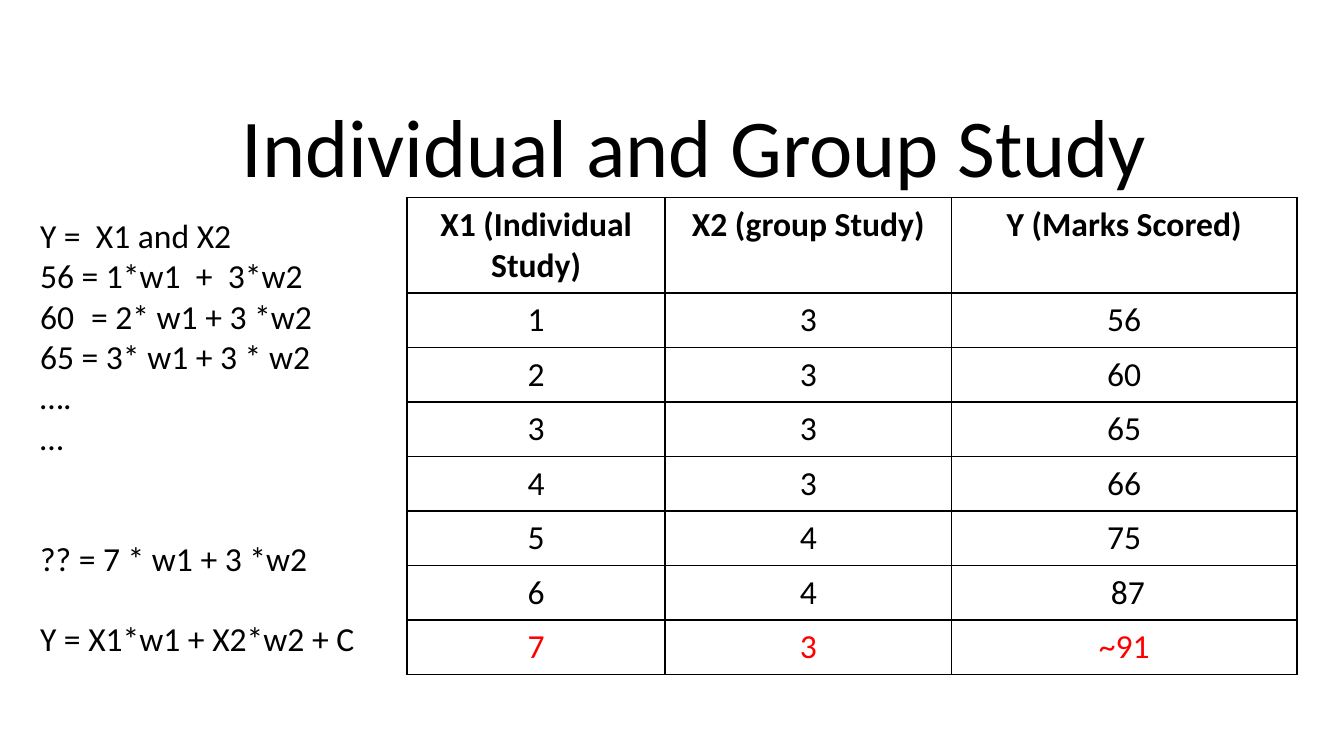
import pptx
import pptx.dml.color
import pptx.enum.text
import pptx.oxml.ns
import pptx.util
from lxml import etree
from pptx.util import Inches

# Content
TITLE = "Individual and Group Study"
HEADERS = ["X1 (Individual Study)", "X2 (group Study)", "Y (Marks Scored)"]
STUDY_ROWS = [
    (1, 3, 56),
    (2, 3, 60),
    (3, 3, 65),
    (4, 3, 66),
    (5, 4, 75),
    (6, 4, " 87"),
]
PREDICTED_ROW = (7, 3, "~91")
# Text, automatic number (or None), empty lines above
EQUATIONS = [
    ("Y =  X1 and X2", None, 0),
    ("56 = 1*w1  +  3*w2", None, 0),
    ("= 2* w1 + 3 *w2", 60, 0),
    ("65 = 3* w1 + 3 * w2", None, 0),
    ("….", None, 0),
    ("…", None, 0),
    ("?? = 7 * w1 + 3 *w2", None, 2),
    ("Y = X1*w1 + X2*w2 + C", None, 1),
]

# Layout and style
SLIDE_WIDTH = 10
SLIDE_HEIGHT = SLIDE_WIDTH * 9 / 16
FONT, BODY_SIZE, LINE_HEIGHT = "Calibri", 18, 21.6
BLACK, RED = "000000", "FF0000"
COLUMN_WIDTHS = [1.92, 2.13, 2.57]
TABLE_HEIGHT, HEADER_HEIGHT = 3.55, 0.71
NUMBER_INDENT = Inches(0.38)
CENTER = pptx.enum.text.PP_ALIGN.CENTER


def color(value):
    return pptx.dml.color.RGBColor.from_string(value)


def add_run(paragraph, text, size=BODY_SIZE, font_color=BLACK, bold=False):
    run = paragraph.add_run()
    run.text = str(text)
    run.font.name = FONT
    run.font.size = pptx.util.Pt(size)
    run.font.bold = bold
    run.font.color.rgb = color(font_color)


def add_borders(cell):
    properties = cell._tc.get_or_add_tcPr()
    qn = pptx.oxml.ns.qn
    for side in ("lnL", "lnR", "lnT", "lnB"):
        line = etree.SubElement(properties, qn(f"a:{side}"), w=str(pptx.util.Pt(1)))
        fill = etree.SubElement(line, qn("a:solidFill"))
        etree.SubElement(fill, qn("a:srgbClr"), val=BLACK)


def number_paragraph(paragraph, start):
    properties = paragraph._p.get_or_add_pPr()
    properties.set("marL", str(NUMBER_INDENT))
    properties.set("indent", str(-NUMBER_INDENT))
    etree.SubElement(properties, pptx.oxml.ns.qn("a:buAutoNum"),
                     type="arabicPlain", startAt=str(start))


presentation = pptx.Presentation()
presentation.slide_width = Inches(SLIDE_WIDTH)
presentation.slide_height = Inches(SLIDE_HEIGHT)
slide = presentation.slides.add_slide(presentation.slide_layouts[5])

# Title
title = slide.shapes.title
title.left, title.top = Inches(0.67), Inches(0.61)
title.width, title.height = Inches(9), Inches(0.94)
title.text_frame.vertical_anchor = pptx.enum.text.MSO_ANCHOR.MIDDLE
title_paragraph = title.text_frame.paragraphs[0]
title_paragraph.alignment = CENTER
add_run(title_paragraph, TITLE, size=44)

# Study table
rows = [HEADERS, *STUDY_ROWS, PREDICTED_ROW]
table = slide.shapes.add_table(
    len(rows), len(HEADERS), Inches(3.03), Inches(1.47),
    Inches(sum(COLUMN_WIDTHS)), Inches(TABLE_HEIGHT)).table
table.first_row = table.horz_banding = False
for column, width in zip(table.columns, COLUMN_WIDTHS):
    column.width = Inches(width)
row_height = (TABLE_HEIGHT - HEADER_HEIGHT) / (len(rows) - 1)
for row_index, values in enumerate(rows):
    is_header = row_index == 0
    table.rows[row_index].height = Inches(HEADER_HEIGHT if is_header else row_height)
    font_color = RED if values is PREDICTED_ROW else BLACK
    for cell, value in zip(table.rows[row_index].cells, values):
        add_borders(cell)
        cell.fill.background()
        paragraph = cell.text_frame.paragraphs[0]
        paragraph.alignment = CENTER
        add_run(paragraph, value, font_color=font_color, bold=is_header)

# Equations
equation_box = slide.shapes.add_textbox(Inches(0.2), Inches(1.55), Inches(2.6), Inches(3.43))
text_frame = equation_box.text_frame
text_frame.word_wrap = True
for index, (text, number, lines_above) in enumerate(EQUATIONS):
    paragraph = text_frame.add_paragraph() if index else text_frame.paragraphs[0]
    if lines_above:
        paragraph.space_before = pptx.util.Pt(lines_above * LINE_HEIGHT)
    if number is not None:
        number_paragraph(paragraph, number)
    add_run(paragraph, text)

presentation.save("out.pptx")
